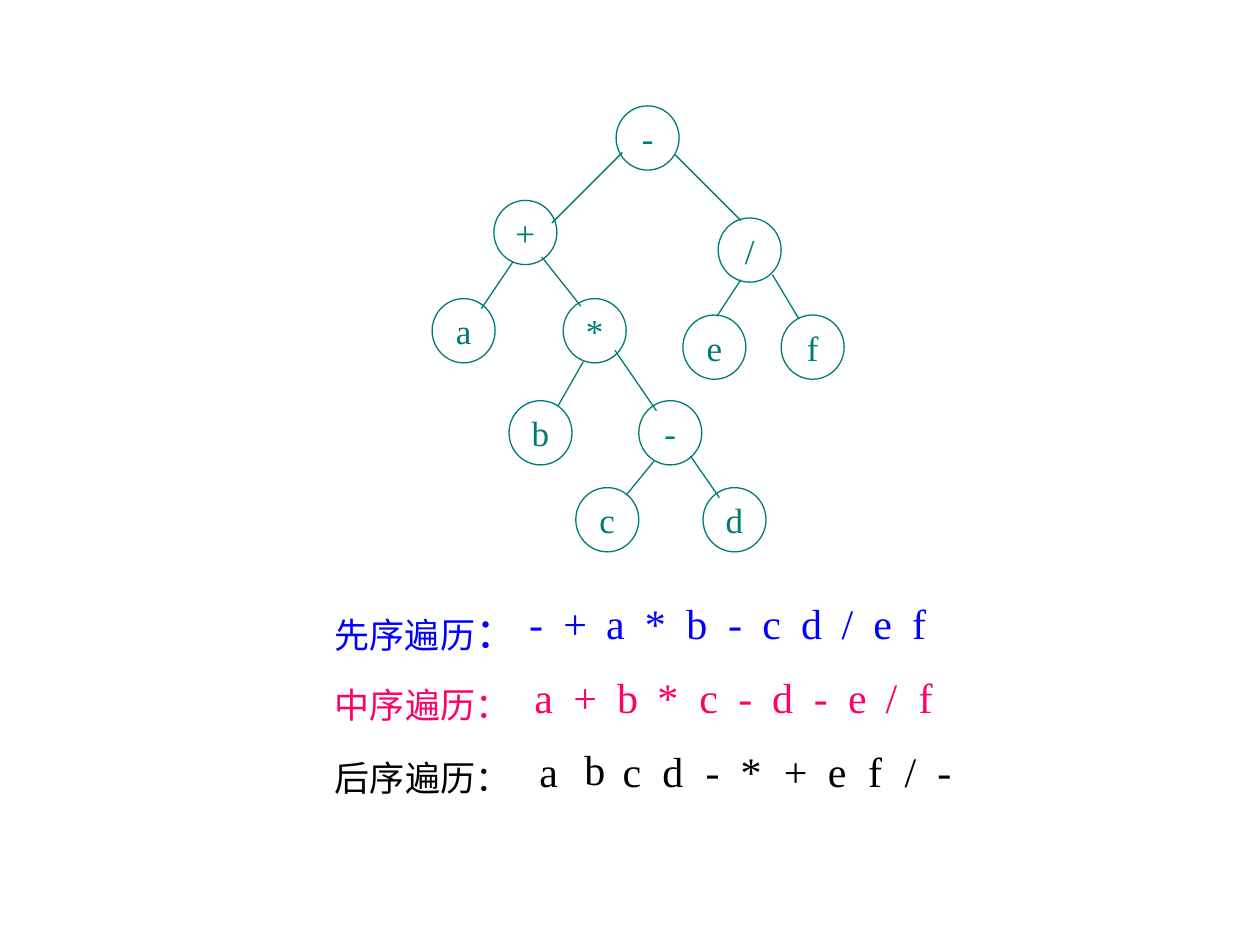
from pptx import Presentation
from pptx.dml.color import RGBColor
from pptx.enum.shapes import MSO_CONNECTOR, MSO_SHAPE
from pptx.enum.text import MSO_ANCHOR, MSO_AUTO_SIZE, PP_ALIGN
from pptx.oxml.ns import qn
from pptx.util import Inches, Pt
from lxml import etree

COLORS = {"tree": "007A77", "preorder": "0000FF", "inorder": "FF0066", "postorder": "000000"}
SYMBOL_WIDTHS = {"-": 0.31, "+": 0.39, "*": 0.36, "/": 0.29, "a": 0.35, "b": 0.36,
                 "c": 0.35, "d": 0.36, "e": 0.35, "f": 0.31}

NODES = [
    ("-", 4.89, 0.84), ("+", 3.92, 1.59), ("/", 5.70, 1.73), ("a", 3.43, 2.37),
    ("*", 4.47, 2.37), ("e", 5.42, 2.50), ("f", 6.20, 2.50), ("b", 4.04, 3.18),
    ("-", 5.07, 3.18), ("c", 4.57, 3.87), ("d", 5.58, 3.87),
]
EDGES = [
    (4.94, 1.21, 4.38, 1.77), (5.36, 1.23, 5.88, 1.75),
    (4.07, 2.08, 3.82, 2.45), (4.30, 2.04, 4.61, 2.43),
    (5.88, 2.22, 5.69, 2.51), (6.13, 2.18, 6.34, 2.53),
    (4.63, 2.87, 4.43, 3.22), (4.88, 2.78, 5.21, 3.26),
    (5.19, 3.66, 4.97, 3.93), (5.48, 3.62, 5.71, 3.95),
]
# color, label runs, label box, symbol top, symbols, symbol lefts
TRAVERSALS = [
    ("preorder", [("先序遍历", 20), ("：", 24)], (2.56, 4.76, 1.64, 0.5), 4.69, "-+a*b-cd/ef",
     [4.10, 4.37, 4.71, 5.02, 5.35, 5.68, 5.95, 6.26, 6.58, 6.83, 7.14]),
    ("inorder", [("中序遍历：", 20)], (2.56, 5.37, 1.59, 0.44), 5.28, "a+b*c-d-e/f",
     [4.14, 4.45, 4.80, 5.12, 5.45, 5.76, 6.03, 6.36, 6.63, 6.93, 7.19]),
    ("postorder", [("后序遍历：", 20)], (2.56, 5.95, 1.59, 0.44), 5.87, "abcd-*+ef/-",
     [4.18, 4.54, 4.84, 5.16, 5.50, 5.78, 6.12, 6.47, 6.79, 7.08, 7.34]),
]


class TreeSlide:
    font_name = "Times New Roman"
    line_width = Pt(0.75)

    def __init__(self, slide):
        self.slide = slide
        self.tree = slide.shapes.add_group_shape().shapes

    def fill_text(self, shape, runs, color, alignment, auto_size):
        frame_format = {"word_wrap": False, "auto_size": auto_size,
                        "vertical_anchor": MSO_ANCHOR.MIDDLE}
        for name, value in frame_format.items():
            setattr(shape.text_frame, name, value)
        paragraph = shape.text_frame.paragraphs[0]
        paragraph.alignment = alignment
        for text, size in runs:
            run = paragraph.add_run()
            run.text = text
            for name, value in {"name": self.font_name, "size": Pt(size)}.items():
                setattr(run.font, name, value)
            run.font.color.rgb = RGBColor.from_string(COLORS[color])

    def outline(self, shape):
        shape.line.color.rgb = RGBColor.from_string(COLORS["tree"])
        shape.line.width = self.line_width

    def node(self, symbol, left, top):
        shape = self.tree.add_shape(MSO_SHAPE.OVAL, Inches(left), Inches(top),
                                    Inches(0.5), Inches(0.51))
        shape.shadow.inherit = False
        shape.fill.background()
        self.outline(shape)
        self.fill_text(shape, [(symbol, 20)], "tree", PP_ALIGN.CENTER, MSO_AUTO_SIZE.NONE)

    def edge(self, *ends):
        connector = self.tree.add_connector(MSO_CONNECTOR.STRAIGHT, *map(Inches, ends))
        self.outline(connector)
        etree.SubElement(connector._element.spPr, qn("a:effectLst"))

    def text(self, runs, box, color, alignment=PP_ALIGN.LEFT):
        shape = self.slide.shapes.add_textbox(*map(Inches, box))
        self.fill_text(shape, runs, color, alignment, MSO_AUTO_SIZE.SHAPE_TO_FIT_TEXT)

    def traversal(self, color, label, label_box, top, symbols, lefts):
        """Add a label followed by one centred box per visited symbol."""
        self.text(label, label_box, color)
        for symbol, left in zip(symbols, lefts):
            # The b of the postorder row sits slightly higher than its neighbours.
            raised = 0.02 if (color, symbol) == ("postorder", "b") else 0
            box = (left, top - raised, SYMBOL_WIDTHS[symbol], 0.5)
            self.text([(symbol, 24)], box, color, PP_ALIGN.CENTER)


def main():
    presentation = Presentation()
    presentation.slide_width, presentation.slide_height = Inches(10), Inches(7.5)
    slide = TreeSlide(presentation.slides.add_slide(presentation.slide_layouts[6]))
    for node in NODES:
        slide.node(*node)
    for edge in EDGES:
        slide.edge(*edge)
    for traversal in TRAVERSALS:
        slide.traversal(*traversal)
    presentation.save("out.pptx")


if __name__ == "__main__":
    main()
